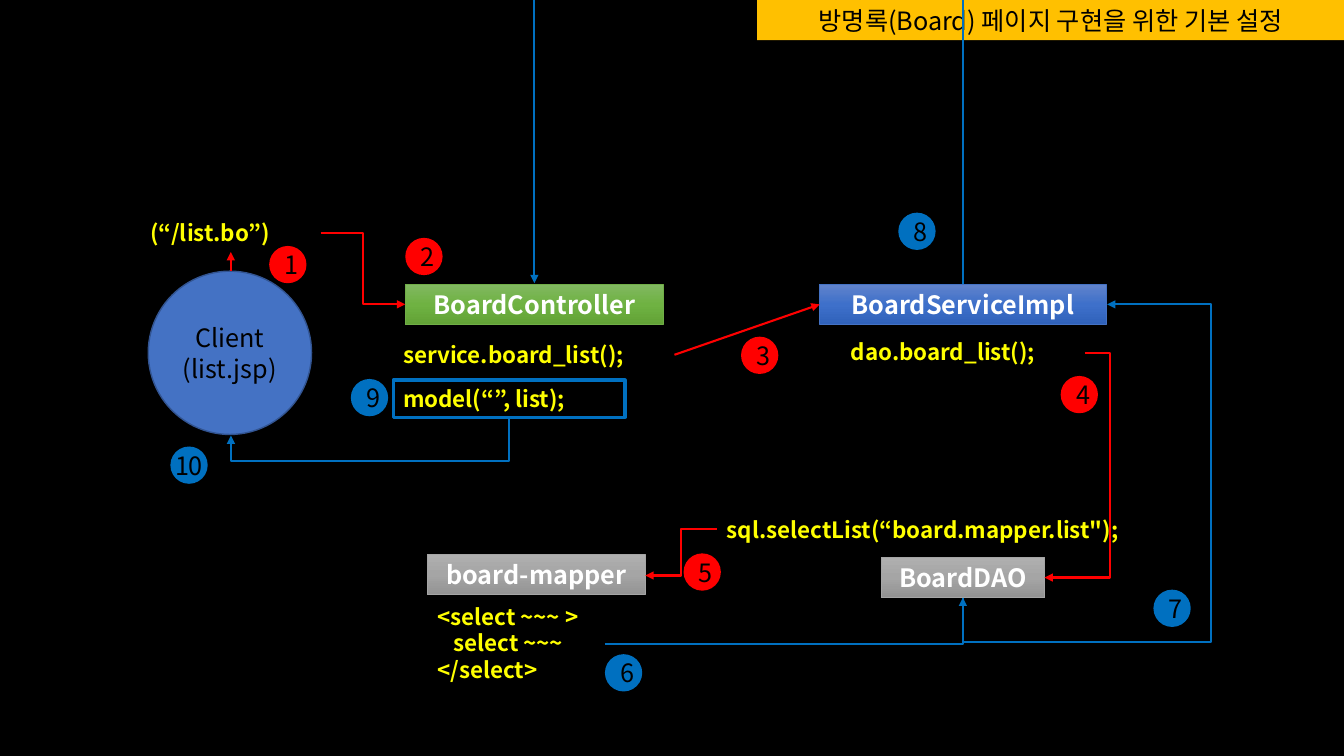
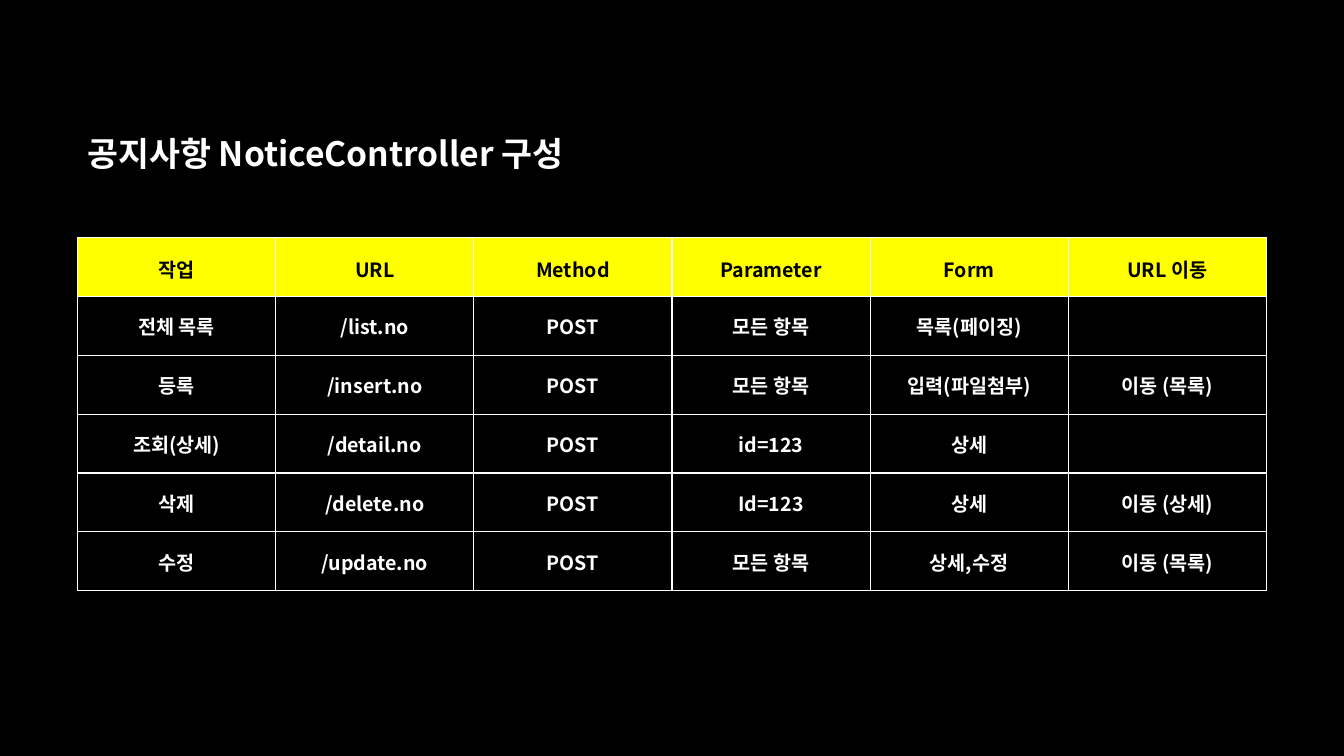
from copy import deepcopy
from dataclasses import dataclass

from lxml.etree import SubElement
from pptx import Presentation
from pptx.dml.color import RGBColor
from pptx.enum.shapes import MSO_CONNECTOR as CXN, MSO_SHAPE as SHAPE
from pptx.enum.text import MSO_ANCHOR as ANCHOR, MSO_AUTO_SIZE as AUTO, PP_ALIGN as ALIGN
from pptx.oxml.ns import qn
from pptx.util import Inches, Pt


@dataclass(frozen=True)
class Theme:
    font: str = "Noto Sans CJK KR"
    black: str = "000000"
    white: str = "FFFFFF"
    yellow: str = "FFFF00"
    band: str = "FFC000"
    red: str = "FF0000"
    blue: str = "0070C0"
    client: str = "4472C4"
    client_line: str = "325491"
    green_box: tuple = ("81B861", "6FB242", "62A336", "70AD47")
    blue_box: tuple = ("6183CB", "3E70CA", "3062BB", "4472C4")
    gray_box: tuple = ("AFAFAF", "A5A5A5", "939393", "A5A5A5")
    title: int = 24
    label: int = 18
    code: int = 16
    cell: int = 14


T = Theme()


def rgb(value):
    return RGBColor.from_string(value)


def put_text(tf, text, size=T.label, color=T.black, bold=False, align=ALIGN.LEFT,
             spacing=None, wrap=True, grow=False, anchor=None, indents=()):
    tf.word_wrap = wrap
    if grow:
        tf.auto_size = AUTO.SHAPE_TO_FIT_TEXT
    if anchor is not None:
        tf.vertical_anchor = anchor
    for i, line in enumerate(text.split("\n")):
        p = tf.paragraphs[0] if i == 0 else tf.add_paragraph()
        p.alignment = align
        if spacing:
            p.line_spacing = spacing
        if i < len(indents):
            p._p.get_or_add_pPr().set("marL", str(Inches(indents[i])))
        r = p.add_run()
        r.text = line
        r.font.name, r.font.size, r.font.bold = T.font, Pt(size), bold
        r.font.color.rgb = rgb(color)
        SubElement(r._r.get_or_add_rPr(), qn("a:ea")).set("typeface", T.font)


class Deck:
    def __init__(self):
        self.prs = Presentation()
        self.prs.slide_width, self.prs.slide_height = Inches(13.33), Inches(7.5)
        self.s = None

    def slide(self):
        self.s = self.prs.slides.add_slide(self.prs.slide_layouts[6])
        fill = self.s.background.fill
        fill.solid()
        fill.fore_color.rgb = rgb(T.black)

    def text(self, x, y, w, h, text, **fmt):
        tb = self.s.shapes.add_textbox(*map(Inches, (x, y, w, h)))
        put_text(tb.text_frame, text, **{"grow": True, "bold": True, **fmt})

    def code(self, x, y, w, text, h=0.37, **fmt):
        self.text(x, y, w, h, text, size=T.code, color=T.yellow, **fmt)

    def shape(self, kind, x, y, w, h, text, fill=None, line=None, width=1, **fmt):
        sp = self.s.shapes.add_shape(kind, *map(Inches, (x, y, w, h)))
        sp.shadow.inherit = False
        if fill:
            sp.fill.solid()
            sp.fill.fore_color.rgb = rgb(fill)
        else:
            sp.fill.background()
        if line:
            sp.line.color.rgb = rgb(line)
            sp.line.width = Pt(width)
        else:
            sp.line.fill.background()
        put_text(sp.text_frame, text, **{"align": ALIGN.CENTER, **fmt})
        return sp

    def component(self, x, y, w, text, palette):
        *colors, line = palette
        sp = self.shape(SHAPE.RECTANGLE, x, y, w, 0.4, text, line=line, width=0.5,
                        color=T.white, bold=True, grow=True, anchor=ANCHOR.TOP)
        sp.fill.gradient()
        sp.fill.gradient_angle = 270
        stops = sp._element.spPr.find(qn("a:gradFill")).find(qn("a:gsLst"))
        stops.append(deepcopy(stops[-1]))
        for stop, color, position in zip(sp.fill.gradient_stops, colors, (0, 0.5, 1)):
            stop.color.rgb = rgb(color)
            stop.position = position

    def badge(self, number, x, y, color):
        self.shape(SHAPE.OVAL, x, y, 0.37, 0.37, str(number), fill=color,
                   anchor=ANCHOR.MIDDLE, wrap=number < 10)

    def line(self, x1, y1, x2, y2, color, kind=CXN.STRAIGHT):
        c = self.s.shapes.add_connector(kind, *map(Inches, (x1, y1, x2, y2)))
        c.line.color.rgb = rgb(color)
        c.line.width = Pt(1.5)
        SubElement(c.line._get_or_add_ln(), qn("a:tailEnd")).set("type", "triangle")
        SubElement(c._element.spPr, qn("a:effectLst"))
        return c

    def elbow(self, x1, y1, x2, y2, color, adjust=(), bends=3, turn=0):
        if turn:
            side = 1 if turn == 90 else -1
            cx, cy = (x1 + x2) / 2, (y1 + y2) / 2
            dx, dy = side * (x2 - x1) / 2, side * (y2 - y1) / 2
            x1, y1, x2, y2 = cx - dy, cy + dx, cx + dy, cy - dx
        c = self.line(x1, y1, x2, y2, color, kind=CXN.ELBOW)
        pr = c._element.spPr
        if turn:
            pr.find(qn("a:xfrm")).set("rot", str(turn * 60000))
        geom = pr.find(qn("a:prstGeom"))
        geom.set("prst", f"bentConnector{bends}")
        guides = geom.find(qn("a:avLst"))
        for i, value in enumerate(adjust, 1):
            gd = SubElement(guides, qn("a:gd"))
            gd.set("name", f"adj{i}")
            gd.set("fmla", f"val {round(value * 100000)}")

    def table(self, x, y, w, row_h, rows, color=T.white, fill=None, border=False):
        n = len(rows[0])
        size = map(Inches, (x, y, w, row_h * len(rows)))
        tbl = self.s.shapes.add_table(len(rows), n, *size).table
        tbl.first_row = tbl.horz_banding = False
        for col in tbl.columns:
            col.width = Inches(w / n)
        for i, row in enumerate(rows):
            tbl.rows[i].height = Inches(row_h)
            for j, value in enumerate(row):
                self.cell(tbl.cell(i, j), value, color, fill if i == 0 else None, border)

    def cell(self, cell, value, color, fill, border):
        cell.margin_left = cell.margin_right = Inches(0.07)
        cell.margin_top = cell.margin_bottom = Inches(0.02)
        cell.vertical_anchor = ANCHOR.MIDDLE
        pr = cell._tc.get_or_add_tcPr()
        for side in ("lnL", "lnR", "lnT", "lnB"):
            ln = SubElement(pr, qn(f"a:{side}"))
            if border:
                ln.set("w", str(Pt(1)))
                SubElement(SubElement(ln, qn("a:solidFill")), qn("a:srgbClr")).set("val", T.white)
            else:
                SubElement(ln, qn("a:noFill"))
        if fill:
            cell.fill.solid()
            cell.fill.fore_color.rgb = rgb(fill)
        else:
            cell.fill.background()
        if value:
            put_text(cell.text_frame, value, size=T.cell, bold=True, align=ALIGN.CENTER,
                     spacing=1.1, color=color)


def request_flow(d):
    d.slide()
    d.shape(SHAPE.RECTANGLE, 7.51, 0, 5.82, 0.4, "방명록(Board) 페이지 구현을 위한 기본 설정",
            fill=T.band, grow=True, anchor=ANCHOR.TOP)
    d.shape(SHAPE.OVAL, 1.47, 2.69, 1.62, 1.62, "Client\n(list.jsp)", fill=T.client,
            line=T.client_line, wrap=False, anchor=ANCHOR.MIDDLE)

    for x, y, w, name, palette in (
        (4.02, 2.82, 2.56, "BoardController", T.green_box),
        (8.13, 2.82, 2.84, "BoardServiceImpl", T.blue_box),
        (8.74, 5.53, 1.62, "BoardDAO", T.gray_box),
        (4.24, 5.5, 2.16, "board-mapper", T.gray_box),
    ):
        d.component(x, y, w, name, palette)

    for x, y, w, call in (
        (1.39, 2.13, 1.79, "(“/list.bo”)"),
        (3.9, 3.34, 2.79, "service.board_list();"),
        (8.34, 3.31, 2.43, "dao.board_list();"),
        (7.11, 5.07, 4.88, "sql.selectList(“board.mapper.list\");"),
    ):
        d.code(x, y, w, call)
    d.code(4.24, 5.93, 1.77, "<select ~~~ >\nselect ~~~\n</select>", h=0.91,
           indents=(0, 0.16, 0))

    d.line(2.29, 2.69, 2.29, 2.5, T.red)
    d.line(6.69, 3.52, 8.13, 3.02, T.red)
    d.elbow(10.76, 3.5, 10.36, 5.73, T.red, (-0.62,))
    d.elbow(7.11, 5.25, 6.4, 5.71, T.red, (0.5,))
    d.elbow(3.18, 2.31, 4.02, 3.02, T.red, (0.5,))
    d.elbow(6, 6.39, 9.55, 5.93, T.blue, bends=2)
    d.elbow(9.55, 5.93, 10.98, 3.02, T.blue, (-0.15, 1.72), bends=4, turn=90)
    d.elbow(9.55, 2.82, 5.3, 2.81, T.blue, (300,), turn=270)
    d.shape(SHAPE.RECTANGLE, 3.9, 3.77, 2.3, 0.37, "model(“”, list);", line=T.blue,
            width=2.25, size=T.code, color=T.yellow, bold=True, align=ALIGN.LEFT,
            grow=True, anchor=ANCHOR.TOP)
    d.elbow(5.05, 4.14, 2.29, 4.32, T.blue, (2.39,), turn=90)

    steps = ((2.67, 2.44), (4.02, 2.36), (7.35, 3.34), (10.52, 3.73), (6.78, 5.49),
             (6, 6.49), (11.44, 5.85), (8.91, 2.11), (3.48, 3.76), (1.69, 4.43))
    for number, (x, y) in enumerate(steps, 1):
        d.badge(number, x, y, T.red if number <= 5 else T.blue)


def notice_controller(d):
    d.slide()
    x, y, w, row_h = 0.77, 2.36, 11.79, 0.58
    header = ("작업", "URL", "Method", "Parameter", "Form", "URL 이동")
    actions = (
        ("전체 목록", "/list.no", "POST", "모든 항목", "목록(페이징)", ""),
        ("등록", "/insert.no", "POST", "모든 항목", "입력(파일첨부)", "이동 (목록)"),
        ("조회(상세)", "/detail.no", "POST", "id=123", "상세", ""),
        ("삭제", "/delete.no", "POST", "Id=123", "상세", "이동 (상세)"),
        ("수정", "/update.no", "POST", "모든 항목", "상세,수정", "이동 (목록)"),
    )
    grid = [header] + [("",) * len(header)] * len(actions)
    d.table(x, y, w, 3.5 / len(grid), grid, color=T.black, fill=T.yellow, border=True)
    d.text(x, 1.27, 7.14, 0.5, "공지사항 NoticeController 구성", size=T.title, color=T.white)
    for i, action in enumerate(actions):
        d.table(x, 2.93 + 0.585 * i, w, row_h, [action])


deck = Deck()
request_flow(deck)
notice_controller(deck)
deck.prs.save("out.pptx")
